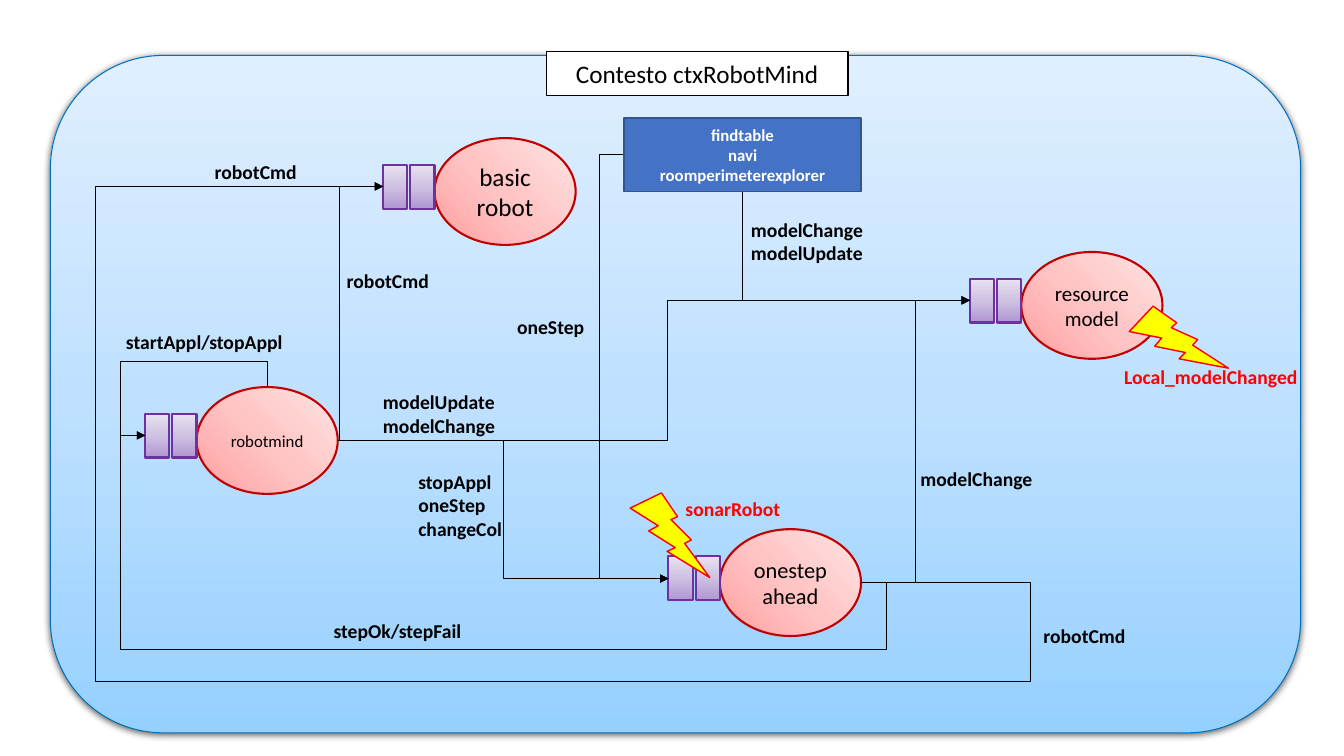
"""Build the slide with the message flows of the ctxRobotMind context."""
from lxml import etree
from pptx import Presentation
from pptx.dml.color import RGBColor
from pptx.enum.shapes import MSO_CONNECTOR, MSO_SHAPE
from pptx.enum.text import MSO_ANCHOR, MSO_AUTO_SIZE, PP_ALIGN
from pptx.oxml.ns import qn
from pptx.util import Inches, Pt

RECTANGLE, ROUNDED, OVAL = MSO_SHAPE.RECTANGLE, MSO_SHAPE.ROUNDED_RECTANGLE, MSO_SHAPE.OVAL
BOLT, ELBOW = MSO_SHAPE.LIGHTNING_BOLT, MSO_CONNECTOR.ELBOW
LEFT, CENTER, MIDDLE, TOP = PP_ALIGN.LEFT, PP_ALIGN.CENTER, MSO_ANCHOR.MIDDLE, MSO_ANCHOR.TOP
FIXED, GROW = MSO_AUTO_SIZE.NONE, MSO_AUTO_SIZE.SHAPE_TO_FIT_TEXT

TITLE = "Contesto ctxRobotMind"
BLACK, WHITE, RED, YELLOW = "000000", "FFFFFF", "FF0000", "FFFF00"
BLUES = ("96D0FF", "BFE1FF", "E0EFFF")
PINKS = ("FFA0A0", "FFC5C5", "FFE3E3")
PURPLES = ("B197D2", "CEC1E2", "E7E1F0")

ACTORS = [
    ("basic robot", 4.31, 1.37, 18),
    ("resource model", 10.13, 2.5, 15),
    ("onestepahead", 7.14, 5.25, 16),
    ("robotmind", 1.95, 3.84, 12),
]
CLIENTS = ["findtable", "navi", "roomperimeterexplorer"]

BASIC_INPUT, MODEL_INPUT = (3.8, 1.85), (9.62, 2.98)
STEP_INPUT, MIND_INPUT = (6.63, 5.74), (1.44, 4.32)
MIND_OUTPUT, STEP_OUTPUT = (3.35, 4.37), (8.54, 5.78)
MIND_TOP, CLIENTS_LEFT, CLIENTS_BOTTOM = (2.65, 3.84), (6.19, 1.53), (7.36, 1.9)
# start, end, bends as alternating x and y, end that carries the arrow
FLOWS = [
    (MIND_OUTPUT, BASIC_INPUT, [3.37], "tailEnd"),
    (MODEL_INPUT, CLIENTS_BOTTOM, [], "headEnd"),
    (MIND_OUTPUT, MODEL_INPUT, [6.62], "tailEnd"),
    (MIND_OUTPUT, STEP_INPUT, [4.99], "tailEnd"),
    (MIND_INPUT, MIND_TOP, [1.19, 3.59], "headEnd"),
    (STEP_OUTPUT, MIND_INPUT, [8.79, 6.44, 1.19], "tailEnd"),
    (STEP_OUTPUT, MODEL_INPUT, [9.08], "tailEnd"),
    (STEP_OUTPUT, BASIC_INPUT, [10.22, 6.76, 0.94], "tailEnd"),
    (CLIENTS_LEFT, STEP_INPUT, [5.94], "tailEnd"),
]
LABELS = [
    (["robotCmd"], 3.34, 2.62, 1.11, BLACK),
    (["modelUpdate", "modelChange"], 3.7, 3.82, 1.95, BLACK),
    (["Local_modelChanged"], 11.05, 3.57, 1.95, RED),
    (["modelChange", "modelUpdate"], 7.35, 2.11, 1.95, BLACK),
    (["stopAppl", "oneStep", "changeCol"], 4.05, 4.61, 1.22, BLACK),
    (["startAppl/stopAppl"], 1.15, 3.22, 1.95, BLACK),
    (["stepOk/stepFail"], 3.21, 6.09, 1.95, BLACK),
    (["modelChange"], 9.03, 4.58, 1.95, BLACK),
    (["robotCmd"], 2.03, 1.54, 1.95, BLACK),
    (["robotCmd"], 10.25, 6.14, 1.95, BLACK),
    (["sonarRobot"], 6.7, 4.88, 1.95, RED),
    (["oneStep"], 5.03, 3.08, 0.87, BLACK),
]
BOLTS = [(11.27, 2.98, 339.2), (6.25, 4.89, 0)]


def color(code):
    return RGBColor.from_string(code)


def add_node(parent, tag, **attributes):
    node = etree.SubElement(parent, qn(tag))
    for name, value in attributes.items():
        node.set(name, str(value))
    return node


def paint(shape, fill, line, width, radial=False):
    shape.line.color.rgb = color(line)
    shape.line.width = Pt(width)
    if isinstance(fill, str):
        shape.fill.solid()
        shape.fill.fore_color.rgb = color(fill)
        return
    shape.fill.gradient()
    gradient = shape._element.spPr.find(qn("a:gradFill"))
    for child in list(gradient):
        gradient.remove(child)
    stops = add_node(gradient, "a:gsLst")
    for index, code in enumerate(fill):
        add_node(add_node(stops, "a:gs", pos=index * 50000), "a:srgbClr", val=code)
    if radial:
        center = add_node(gradient, "a:path", path="circle")
        add_node(center, "a:fillToRect", t=100000, r=100000)
    else:
        add_node(gradient, "a:lin", ang=270 * 60000, scaled=0)


def add_box(kind, left, top, width, height, fill, line, weight, radial=False):
    box = slide.shapes.add_shape(kind, *map(Inches, (left, top, width, height)))
    box.shadow.inherit = False
    paint(box, fill, line, weight, radial)
    return box


def write(box, lines, size=14, code=BLACK, bold=False, align=CENTER, anchor=MIDDLE, fit=FIXED):
    frame = box.text_frame
    frame.word_wrap, frame.auto_size, frame.vertical_anchor = True, fit, anchor
    for index, line in enumerate(lines):
        para = frame.add_paragraph() if index else frame.paragraphs[0]
        para.alignment = align
        span = para.add_run()
        span.text = line
        span.font.name, span.font.size, span.font.bold = "Calibri", Pt(size), bold
        span.font.color.rgb = color(code)


def add_actor(name, left, top, size):
    oval = add_box(OVAL, left, top, 1.4, 1.06, PINKS, "C00000", 1.5, radial=True)
    write(oval, [name], size=size)
    for offset in (0.24, 0.51):
        add_box(RECTANGLE, left - offset, top + 0.27, 0.24, 0.43, PURPLES, "7030A0", 1.5)


def add_flow(start, end, bends, arrow):
    flow = slide.shapes.add_connector(ELBOW, *map(Inches, start + end))
    flow.line.color.rgb = color(BLACK)
    flow.line.width = Pt(0.5)
    properties = flow._element.spPr
    geometry = properties.find(qn("a:prstGeom"))
    geometry.set("prst", f"bentConnector{len(bends) + 2}")
    guides = geometry.find(qn("a:avLst"))
    for index, bend in enumerate(bends):
        axis = index % 2
        share = (bend - start[axis]) / (end[axis] - start[axis])
        add_node(guides, "a:gd", name=f"adj{index + 1}", fmla=f"val {round(share * 100000)}")
    add_node(properties.find(qn("a:ln")), f"a:{arrow}", type="triangle")
    add_node(properties, "a:effectLst")


deck = Presentation()
deck.slide_width, deck.slide_height = Inches(13.33), Inches(7.5)
slide = deck.slides.add_slide(deck.slide_layouts[5])

panel = add_box(ROUNDED, 0.5, 0.55, 12.4, 6.72, BLUES, "0070C0", 0.75)
effects = panel._element.spPr.find(qn("a:effectLst"))
shadow = add_node(effects, "a:outerShdw", blurRad=Pt(4.5), dist=Pt(1.5), dir=90 * 60000)
add_node(add_node(shadow, "a:srgbClr", val=BLACK), "a:alpha", val=63000)

title = slide.shapes.title
title.left, title.top, title.width, title.height = map(Inches, (5.42, 0.51, 2.99, 0.44))
paint(title, WHITE, BLACK, 1)
write(title, [TITLE], size=18)
title._element.addprevious(panel._element)

for actor in ACTORS:
    add_actor(*actor)
for flow_data in FLOWS:
    add_flow(*flow_data)
clients = add_box(RECTANGLE, 6.19, 1.17, 2.35, 0.73, "4472C4", "325491", 1)
write(clients, CLIENTS, size=12, code=WHITE, bold=True)
for left, top, angle in BOLTS:
    add_box(BOLT, left, top, 0.79, 0.84, YELLOW, RED, 1).rotation = angle
for lines, left, top, width, code in LABELS:
    height = 0.1 + 0.24 * len(lines)
    label = slide.shapes.add_textbox(*map(Inches, (left, top, width, height)))
    write(label, lines, code=code, bold=True, align=LEFT, anchor=TOP, fit=GROW)

deck.save("out.pptx")
